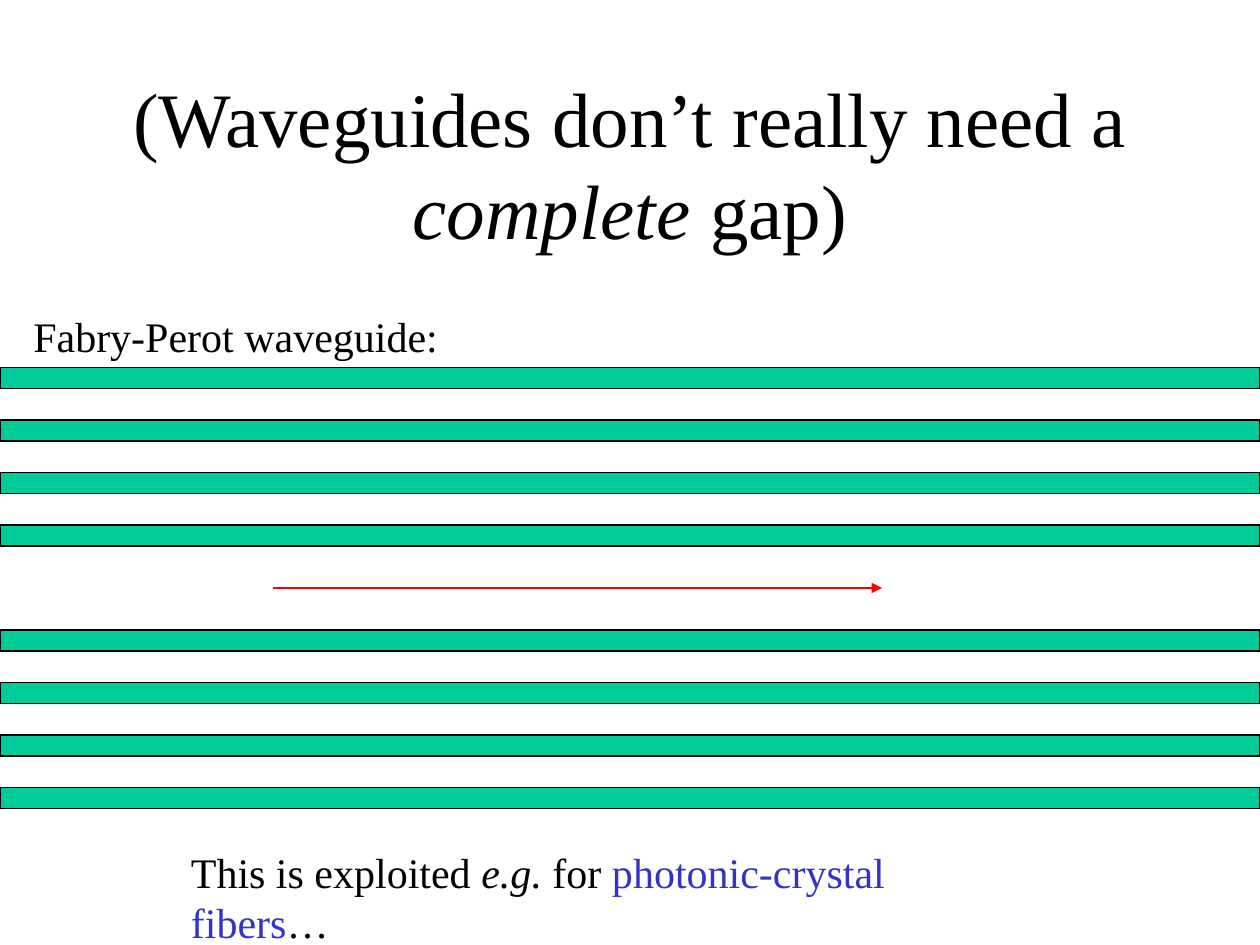
import pptx
import pptx.dml.color
import pptx.enum.shapes
import pptx.enum.text
import pptx.oxml.ns
import pptx.util
from lxml import etree

FONT = "Times New Roman"
BLACK, GREEN, RED, BLUE = "000000", "00CC99", "FF0000", "3333CC"
LEFT = pptx.enum.text.PP_ALIGN.LEFT
CENTER = pptx.enum.text.PP_ALIGN.CENTER


def color(value):
    return pptx.dml.color.RGBColor.from_string(value)


def grid(*units):
    """Turn grid units (six to the inch) into lengths."""
    return [pptx.util.Inches(unit / 6) for unit in units]


class SlideBuilder:
    def __init__(self, presentation):
        layout = presentation.slide_layouts.get_by_name("Title Only")
        self.slide = presentation.slides.add_slide(layout)

    def fill_text(self, frame, runs, size, align):
        """Fill a frame with (text, italic, colour) runs."""
        frame.word_wrap = True
        frame.auto_size = pptx.enum.text.MSO_AUTO_SIZE.NONE
        paragraph = frame.paragraphs[0]
        paragraph.alignment = align
        paragraph.font.name = FONT
        paragraph.font.size = pptx.util.Pt(size)
        for text, italic, run_color in runs:
            run = paragraph.add_run()
            run.text = text
            run.font.italic = italic
            run.font.color.rgb = color(run_color)

    def title(self, box, runs):
        shape = self.slide.shapes.title
        shape.left, shape.top, shape.width, shape.height = grid(*box)
        shape.text_frame.vertical_anchor = pptx.enum.text.MSO_ANCHOR.MIDDLE
        self.fill_text(shape.text_frame, runs, 44, CENTER)

    def text(self, box, runs):
        shape = self.slide.shapes.add_textbox(*grid(*box))
        self.fill_text(shape.text_frame, runs, 24, LEFT)

    def layer(self, top):
        shape = self.slide.shapes.add_shape(
            pptx.enum.shapes.MSO_SHAPE.RECTANGLE, *grid(0, top, 60, 1))
        shape.shadow.inherit = False
        shape.fill.solid()
        shape.fill.fore_color.rgb = color(GREEN)
        shape.line.color.rgb = color(BLACK)
        shape.line.width = pptx.util.Pt(0.75)

    def arrow(self, *ends):
        connector = self.slide.shapes.add_connector(
            pptx.enum.shapes.MSO_CONNECTOR.STRAIGHT, *grid(*ends))
        connector.line.color.rgb = color(RED)
        connector.line.width = pptx.util.Pt(1.5)
        qn = pptx.oxml.ns.qn
        properties = connector._element.spPr
        line = properties.find(qn("a:ln"))
        etree.SubElement(line, qn("a:tailEnd"), type="triangle")
        etree.SubElement(properties, qn("a:effectLst"))


def main():
    presentation = pptx.Presentation()
    presentation.slide_width, presentation.slide_height = grid(60, 45)
    builder = SlideBuilder(presentation)

    # Title
    builder.title((4.5, 4, 51, 7.5), [
        ("(Waveguides don’t really need a ", False, BLACK),
        ("complete", True, BLACK),
        (" gap)", False, BLACK)])

    # Mirror layers: equal pitch, with one left out for the guiding core
    for index in range(9):
        if index != 4:
            builder.layer(17.5 + 2.5 * index)

    # Label and light path
    builder.text((1, 14.5, 20.5, 3),
                 [("Fabry-Perot waveguide:", False, BLACK)])
    builder.arrow(13, 28, 42, 28)

    # Closing remark
    builder.text((8.5, 40, 40.5, 3), [
        ("This is exploited ", False, BLACK),
        ("e.g.", True, BLACK),
        (" for ", False, BLACK),
        ("photonic-crystal fibers", False, BLUE),
        ("…", False, BLACK)])

    presentation.save("out.pptx")


if __name__ == "__main__":
    main()
